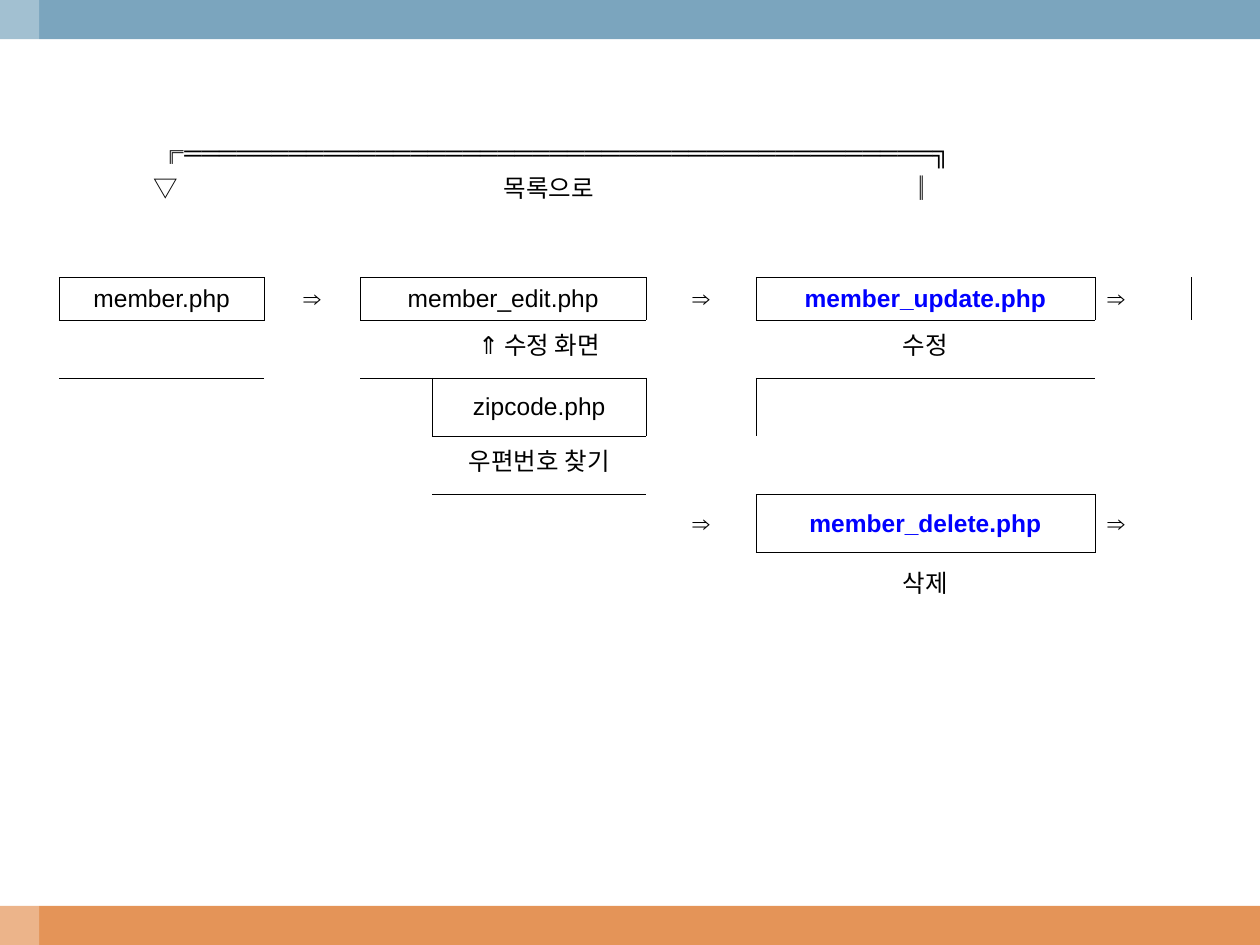
from lxml import etree
from pptx import Presentation, util as u
from pptx.dml.color import RGBColor
from pptx.enum import shapes, text
from pptx.oxml import ns

BLACK = RGBColor(0, 0, 0)
WHITE = RGBColor(255, 255, 255)
BLUE = RGBColor(0, 0, 255)
SKY = RGBColor(0x7B, 0xA5, 0xBE)
CLAY = RGBColor(0xE4, 0x94, 0x58)
PLAIN = "{2D5ABB26-0587-4C30-8999-92F81FD0307C}"
MID, TOP = text.MSO_ANCHOR.MIDDLE, text.MSO_ANCHOR.TOP
CENTER, LEFT = text.PP_ALIGN.CENTER, text.PP_ALIGN.LEFT


def sub(node, tag, **attrs):
    return etree.SubElement(node, ns.qn(tag), **attrs)


class Deck:
    font, cjk, size = "Arial", "Noto Sans CJK KR", u.Pt(14)

    def __init__(self):
        self.prs = Presentation()
        self.prs.slide_width, self.prs.slide_height = u.Cm(25.4), u.Cm(19.05)
        self.slide = self.prs.slides.add_slide(self.prs.slide_layouts[6])

    def bar(self, x, y, w, h, color, alpha=None):
        box = self.slide.shapes.add_shape(
            shapes.MSO_SHAPE.RECTANGLE, u.Cm(x), u.Cm(y), u.Cm(w), u.Cm(h))
        box.shadow.inherit = False
        box.fill.solid()
        box.fill.fore_color.rgb = color
        box.line.fill.background()
        if alpha:
            tint = box.fill._xPr.find(".//" + ns.qn("a:srgbClr"))
            sub(tint, "a:alpha", val=str(alpha * 1000))

    def grid(self, x, y, cols, rows):
        frame = self.slide.shapes.add_table(
            len(rows), len(cols), u.Cm(x), u.Cm(y),
            u.Cm(sum(cols)), u.Cm(sum(rows)))
        self.table = frame.table
        self.table.first_row = self.table.horz_banding = False
        self.table._tbl.tblPr.find(ns.qn("a:tableStyleId")).text = PLAIN
        for col, w in zip(self.table.columns, cols):
            col.width = u.Cm(w)
        for row, h in zip(self.table.rows, rows):
            row.height = u.Cm(h)
        for cell in self.table.iter_cells():
            cell.text_frame.paragraphs[0].font.size = self.size

    def style(self, para, align, color=BLACK, bold=False):
        para.alignment = align
        para.font.name, para.font.size = self.font, self.size
        para.font.bold, para.font.color.rgb = bold, color

    def label(self, row, col, words, align=CENTER, anchor=MID, **look):
        cell = self.table.cell(row, col)
        cell.vertical_anchor = anchor
        para = cell.text_frame.paragraphs[0]
        para.add_run().text = words
        self.style(para, align, **look)

    def tabbed(self, para, words, stops):
        tabs = sub(para._p.get_or_add_pPr(), "a:tabLst")
        for stop in stops:
            sub(tabs, "a:tab", pos=str(u.Cm(stop)), algn="l")
        for word in words:
            para.add_run().text = word
        self.style(para, LEFT)

    def frames(self, boxes):
        # Each edge is shared with the neighbouring cell
        edges = set()
        for row, first, last in boxes:
            for col in range(first, last + 1):
                edges |= {(row, col, "T"), (row, col, "B"),
                          (row - 1, col, "B"), (row + 1, col, "T")}
            edges |= {(row, first, "L"), (row, last, "R"),
                      (row, first - 1, "R"), (row, last + 1, "L")}
        for row, col, side in sorted(edges, key=lambda e: "LRTB".index(e[2])):
            if col < 0:
                continue
            cell = self.table.cell(row, col)
            line = sub(cell._tc.get_or_add_tcPr(), "a:ln" + side,
                       w=str(u.Pt(0.11)))
            sub(sub(line, "a:solidFill"), "a:srgbClr", val=str(BLACK))
        for row, first, _ in boxes:
            fill = self.table.cell(row, first).fill
            fill.solid()
            fill.fore_color.rgb = WHITE


def main():
    deck = Deck()

    # Coloured bands and the pale left strip
    deck.bar(0, 18.26, 25.4, 0.79, CLAY)
    deck.bar(0, 0, 25.4, 0.79, SKY)
    deck.bar(0, 0, 0.79, 19.05, WHITE, alpha=30)

    # Flow grid
    deck.grid(1.19, 2.39, [4.14, 1.93, 1.45, 4.32, 2.21, 6.83, 1.95],
              [2.03, 1.17, 0.86, 1.17, 1.17, 1.18, 1.17, 1.17])
    cell = deck.table.cell
    cell(0, 0).merge(cell(0, 6))
    for row in (1, 2):
        cell(row, 2).merge(cell(row, 3))

    # Return path to the list
    head = cell(0, 0)
    head.vertical_anchor = MID
    path = head.text_frame.paragraphs[0]
    deck.tabbed(path, ["\t", "╔", "═" * 43 + "╗"], [1.78])
    path.runs[1].font.name = deck.cjk
    deck.tabbed(head.text_frame.add_paragraph(),
                ["\t▽\t목록으로\t║"], [1.65, 8.71, 16.9])

    # Files
    deck.frames([(2, 0, 0), (2, 2, 3), (2, 5, 5), (4, 3, 3), (6, 5, 5)])
    for row, col, name in ((2, 0, "member.php"), (2, 2, "member_edit.php"),
                           (4, 3, "zipcode.php")):
        deck.label(row, col, name)
    for row, name in ((2, "member_update.php"), (6, "member_delete.php")):
        deck.label(row, 5, name, color=BLUE, bold=True)

    # Arrows
    for row, col in ((2, 1), (2, 4), (6, 4)):
        deck.label(row, col, "⇒")
    for row in (2, 6):
        deck.label(row, 6, "⇒", align=LEFT)

    # Captions
    for row, col, words in ((3, 3, "⇑ 수정 화면"), (3, 5, "수정"),
                            (5, 3, "우편번호 찾기")):
        deck.label(row, col, words, anchor=TOP)
    deck.label(7, 5, "삭제")

    deck.prs.save("out.pptx")


if __name__ == "__main__":
    main()
